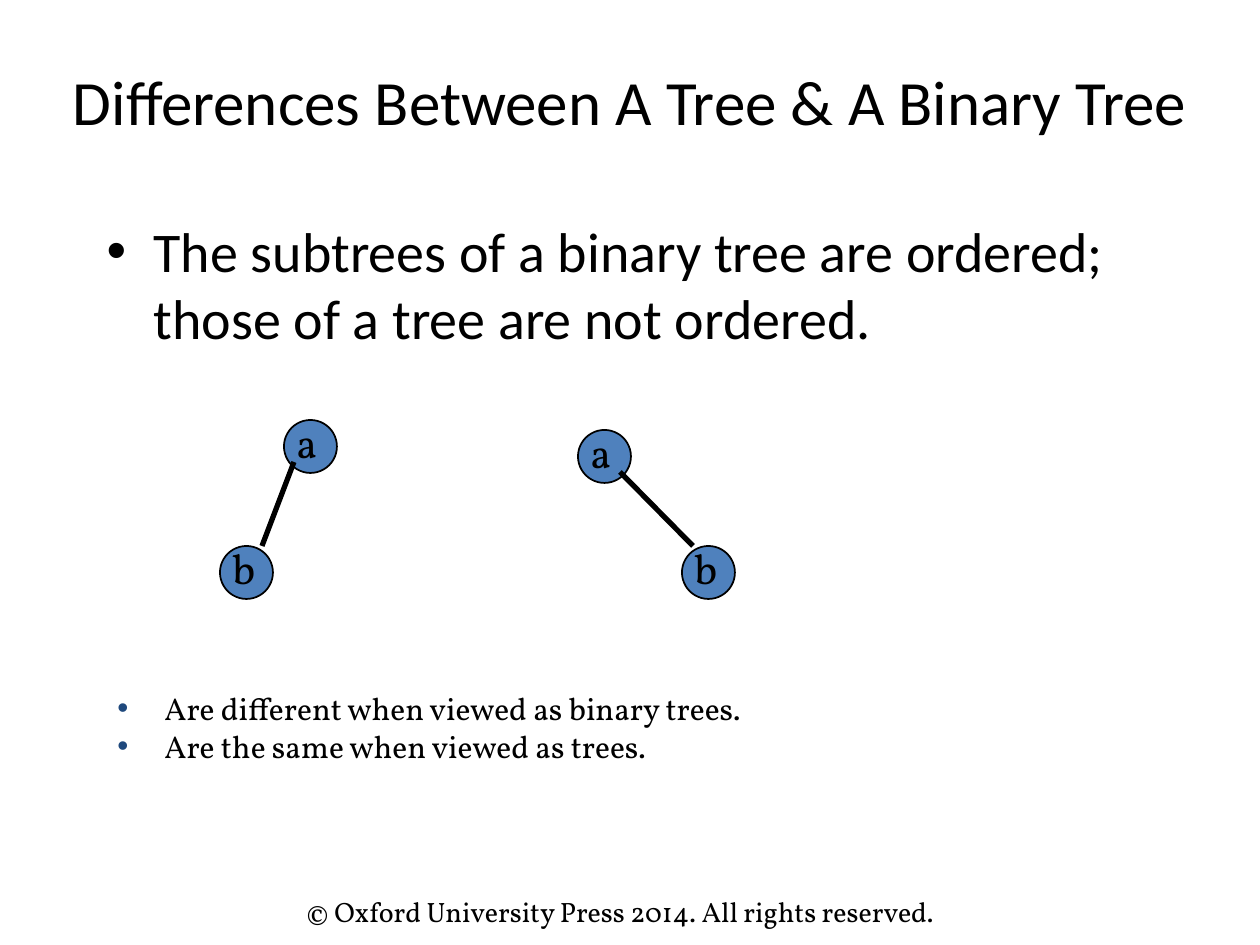
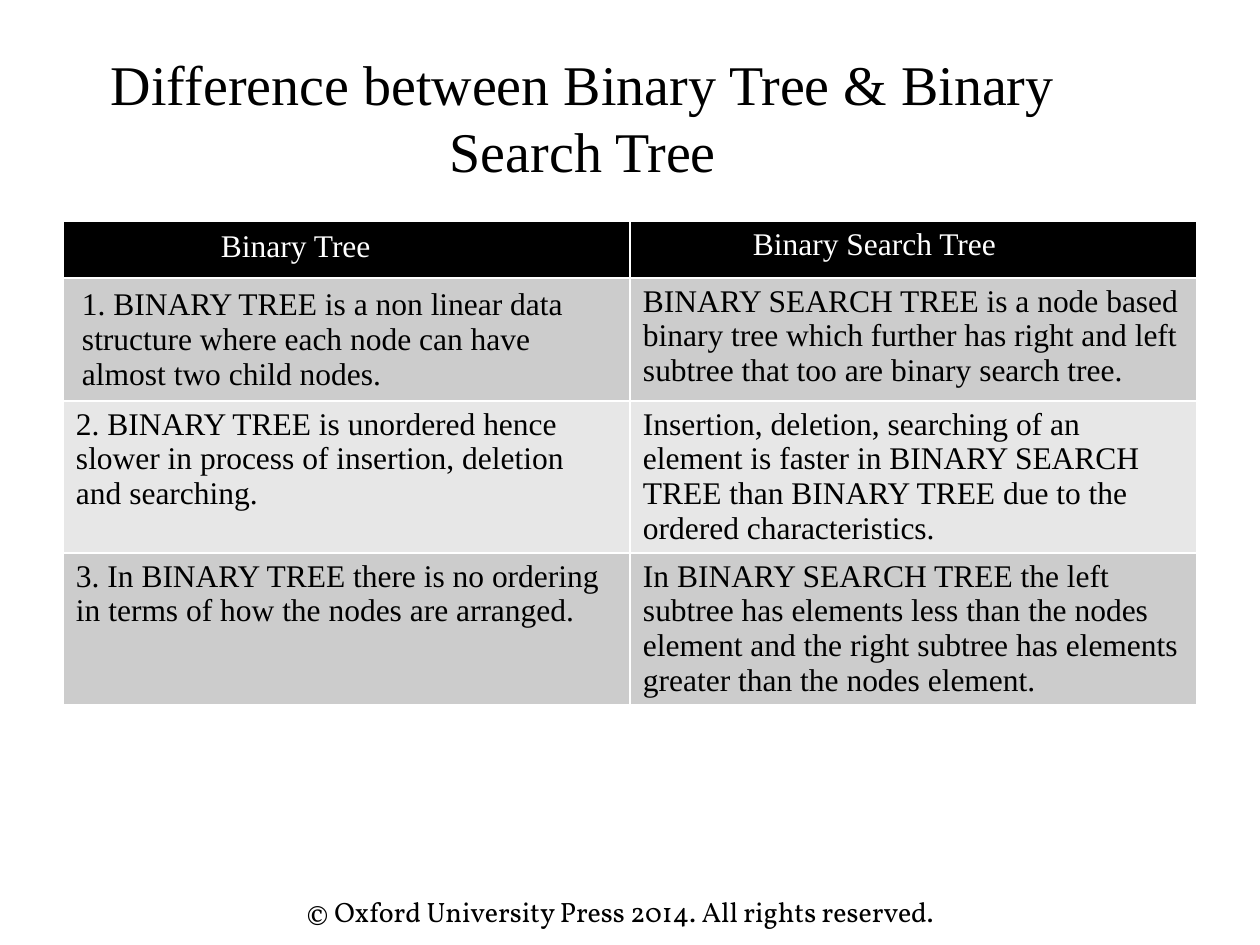
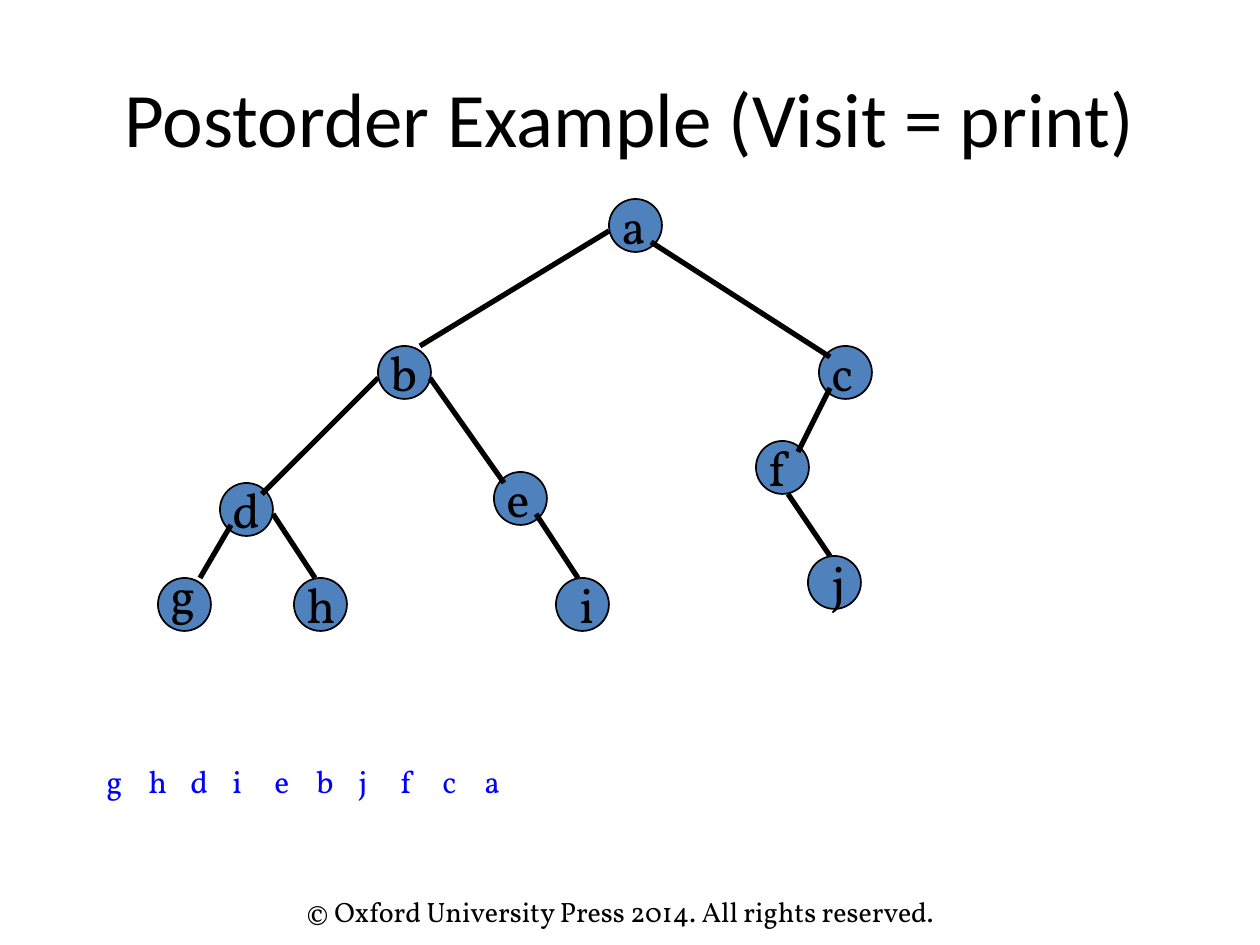
from dataclasses import dataclass

from lxml import etree
from pptx import Presentation
from pptx import util as u
from pptx.dml.color import RGBColor
from pptx.enum import shapes, text
from pptx.oxml import ns


@dataclass(frozen=True)
class Theme:
    ink: str = "000000"
    paper: str = "FFFFFF"
    node: str = "4F81BD"
    visit: str = "0000FF"
    bullet: str = "1F497D"
    band_dark: str = "CCCCCC"
    band_light: str = "E7E7E7"
    sans: str = "Calibri"
    serif: str = "Times New Roman"
    print_face: str = "Vollkorn"
    title: int = 36
    title_compact: int = 32
    title_large: int = 44
    body: int = 32
    letter: int = 24
    letter_large: int = 28
    note: int = 18
    footer: int = 16
    outline: int = 1
    edge: int = 3


THEME = Theme()
TITLE_AND_BODY, TITLE_ONLY = 1, 5
NODE_SIZE = 53
LETTER_RISE = 10
BULLET_INDENT = 47

ORDER_PAIR_NODES = [
    ("a", 284, 420, 0, 0), ("b", 220, 546, 0, 0),
    ("a", 578, 430, 0, 0), ("b", 682, 546, 0, 0),
]
ORDER_PAIR_EDGES = [(294, 462, 262, 546), (620, 472, 693, 546)]

POSTORDER_NODES = [
    ("a", 609, 199, 0, 0), ("b", 378, 346, 0, 0), ("c", 819, 346, 0, 0),
    ("d", 220, 483, 0, 0), ("e", 494, 472, 0, 0), ("f", 756, 441, 0, 0),
    ("g", 158, 578, 0, -10), ("h", 294, 578, 0, 0),
    ("i", 556, 578, 11, 0), ("j", 808, 556, 11, 0),
]
POSTORDER_EDGES = [
    (609, 231, 420, 346), (651, 242, 830, 357),
    (378, 378, 262, 494), (430, 378, 504, 483),
    (830, 388, 798, 452), (231, 525, 200, 578),
    (273, 514, 315, 578), (536, 514, 578, 578),
    (788, 494, 830, 556),
]

COMPARISON = [
    ("Binary Tree", "Binary Search Tree"),
    ("1. BINARY TREE is a non linear data structure where each node can have "
     "almost two child nodes.",
     "BINARY SEARCH TREE is a node based binary tree which further has right "
     "and left subtree that too are binary search tree."),
    ("2. BINARY TREE is unordered hence slower in process of insertion, "
     "deletion and searching.",
     "Insertion, deletion, searching of an element is faster in BINARY SEARCH "
     "TREE than BINARY TREE due to the ordered characteristics."),
    ("3. In BINARY TREE there is no ordering in terms of how the nodes are "
     "arranged.",
     "In BINARY SEARCH TREE the left subtree has elements less than the nodes "
     "element and the right subtree has elements greater than the nodes "
     "element."),
]
ROW_HEIGHTS = [57, 123, 152, 152]
HEADING_INDENTS = [145, 110]
CELL_MARGIN = (13, 6)
CELL_MARGINS = {(0, 0): (13, 8), (1, 0): (19, 9)}


def px(length):
    return u.Emu(round(length * 914400 / 126))


def rgb(color):
    return RGBColor.from_string(color)


def write_text(frame, *lines, size, face, color=THEME.ink, align=None,
               anchor=text.MSO_ANCHOR.TOP, bullet=None, indent=0):
    frame.word_wrap = True
    frame.auto_size = text.MSO_AUTO_SIZE.NONE
    frame.vertical_anchor = anchor
    for number, line in enumerate(lines):
        paragraph = frame.add_paragraph() if number else frame.paragraphs[0]
        paragraph.space_before = u.Pt(0)
        if align is not None:
            paragraph.alignment = align
        if bullet:
            add_bullet(paragraph, bullet)
        elif indent:
            paragraph._p.get_or_add_pPr().set("marL", str(px(indent)))
        run = paragraph.add_run()
        run.text = line
        run.font.size = u.Pt(size)
        run.font.name = face
        run.font.color.rgb = rgb(color)


def add_bullet(paragraph, color):
    properties = paragraph._p.get_or_add_pPr()
    properties.set("marL", str(px(BULLET_INDENT)))
    properties.set("indent", str(-px(BULLET_INDENT)))
    tint = etree.SubElement(properties, ns.qn("a:buClr"))
    etree.SubElement(tint, ns.qn("a:srgbClr"), val=color)
    etree.SubElement(properties, ns.qn("a:buFont"), typeface="Arial")
    etree.SubElement(properties, ns.qn("a:buChar"), char="•")


def place(placeholder, left, top, width, height):
    placeholder.left, placeholder.top = px(left), px(top)
    placeholder.width, placeholder.height = px(width), px(height)


def add_label(slide, box, *lines, **style):
    label = slide.shapes.add_textbox(*map(px, box))
    write_text(label.text_frame, *lines, **style)


def add_page(deck, layout, title, box, size, face=THEME.sans):
    slide = deck.slides.add_slide(deck.slide_layouts[layout])
    place(slide.shapes.title, *box)
    write_text(slide.shapes.title.text_frame, title, size=size, face=face,
               align=text.PP_ALIGN.CENTER, anchor=text.MSO_ANCHOR.MIDDLE)
    add_label(slide, (294, 888, 746, 47),
              "© Oxford University Press 2014. All rights reserved.",
              size=THEME.footer, face=THEME.print_face)
    return slide


def add_node(slide, left, top):
    node = slide.shapes.add_shape(shapes.MSO_SHAPE.OVAL, px(left), px(top),
                                  px(NODE_SIZE), px(NODE_SIZE))
    node.shadow.inherit = False
    node.fill.solid()
    node.fill.fore_color.rgb = rgb(THEME.node)
    node.line.color.rgb = rgb(THEME.ink)
    node.line.width = u.Pt(THEME.outline)


def add_edge(slide, ends):
    edge = slide.shapes.add_connector(shapes.MSO_CONNECTOR.STRAIGHT,
                                      *map(px, ends))
    edge.line.color.rgb = rgb(THEME.ink)
    edge.line.width = u.Pt(THEME.edge)
    etree.SubElement(edge._element.spPr, ns.qn("a:effectLst"))


def add_tree(slide, nodes, edges, letter_box, size):
    for _, left, top, _, _ in nodes:
        add_node(slide, left, top)
    for ends in edges:
        add_edge(slide, ends)
    for letter, left, top, shift_x, shift_y in nodes:
        add_label(slide,
                  (left + shift_x, top - LETTER_RISE + shift_y, *letter_box),
                  letter, size=size, face=THEME.print_face)


def style_cell(cell, fill, margin):
    properties = cell._tc.get_or_add_tcPr()
    for side in ("a:lnL", "a:lnR", "a:lnT", "a:lnB"):
        border = etree.SubElement(properties, ns.qn(side),
                                  w=str(u.Pt(THEME.outline)))
        paint = etree.SubElement(border, ns.qn("a:solidFill"))
        etree.SubElement(paint, ns.qn("a:srgbClr"), val=THEME.paper)
    cell.fill.solid()
    cell.fill.fore_color.rgb = rgb(fill)
    cell.margin_left = cell.margin_right = px(margin[0])
    cell.margin_top = cell.margin_bottom = px(margin[1])


def add_comparison(slide):
    table = slide.shapes.add_table(len(COMPARISON), 2, px(63), px(221),
                                   px(1134), px(sum(ROW_HEIGHTS))).table
    for row, (entries, height) in enumerate(zip(COMPARISON, ROW_HEIGHTS)):
        table.rows[row].height = px(height)
        heading = row == 0
        band = THEME.band_dark if row % 2 else THEME.band_light
        for column, entry in enumerate(entries):
            cell = table.cell(row, column)
            style_cell(cell, THEME.ink if heading else band,
                       CELL_MARGINS.get((row, column), CELL_MARGIN))
            write_text(cell.text_frame, entry, size=THEME.note,
                       face=THEME.serif,
                       color=THEME.paper if heading else THEME.ink,
                       indent=HEADING_INDENTS[column] if heading else 0)
            if (row, column) == (1, 0):
                cell.vertical_anchor = text.MSO_ANCHOR.MIDDLE


def build_tree_differences(deck):
    slide = add_page(deck, TITLE_AND_BODY,
                     "Differences Between A Tree & A Binary Tree",
                     (0, 21, 1260, 158), THEME.title)
    statement = slide.placeholders[1]
    place(statement, 94, 210, 1071, 168)
    write_text(statement.text_frame,
               "The subtrees of a binary tree are ordered; "
               "those of a tree are not ordered.",
               size=THEME.body, face=THEME.sans, bullet=THEME.ink)
    add_tree(slide, ORDER_PAIR_NODES, ORDER_PAIR_EDGES, (42, 63),
             THEME.letter)
    add_label(slide, (105, 683, 1071, 168),
              "Are different when viewed as binary trees.",
              "Are the same when viewed as trees.",
              size=THEME.note, face=THEME.print_face, bullet=THEME.bullet)


def build_search_tree_comparison(deck):
    slide = add_page(deck, TITLE_ONLY,
                     "Difference between Binary Tree & Binary Search Tree",
                     (21, 38, 1124, 158), THEME.title_compact, THEME.serif)
    add_comparison(slide)


def build_postorder_example(deck):
    slide = add_page(deck, TITLE_ONLY, "Postorder Example (Visit = print)",
                     (63, 38, 1134, 158), THEME.title_large)
    add_tree(slide, POSTORDER_NODES, POSTORDER_EDGES, (105, 72),
             THEME.letter_large)
    for step, letter in enumerate("ghdiebjfca"):
        add_label(slide, (94 + 42 * step, 756, 53, 79), letter,
                  size=THEME.note, face=THEME.print_face, color=THEME.visit)


def main():
    deck = Presentation()
    deck.slide_width, deck.slide_height = px(1260), px(945)
    build_tree_differences(deck)
    build_search_tree_comparison(deck)
    build_postorder_example(deck)
    deck.save("out.pptx")


if __name__ == "__main__":
    main()
